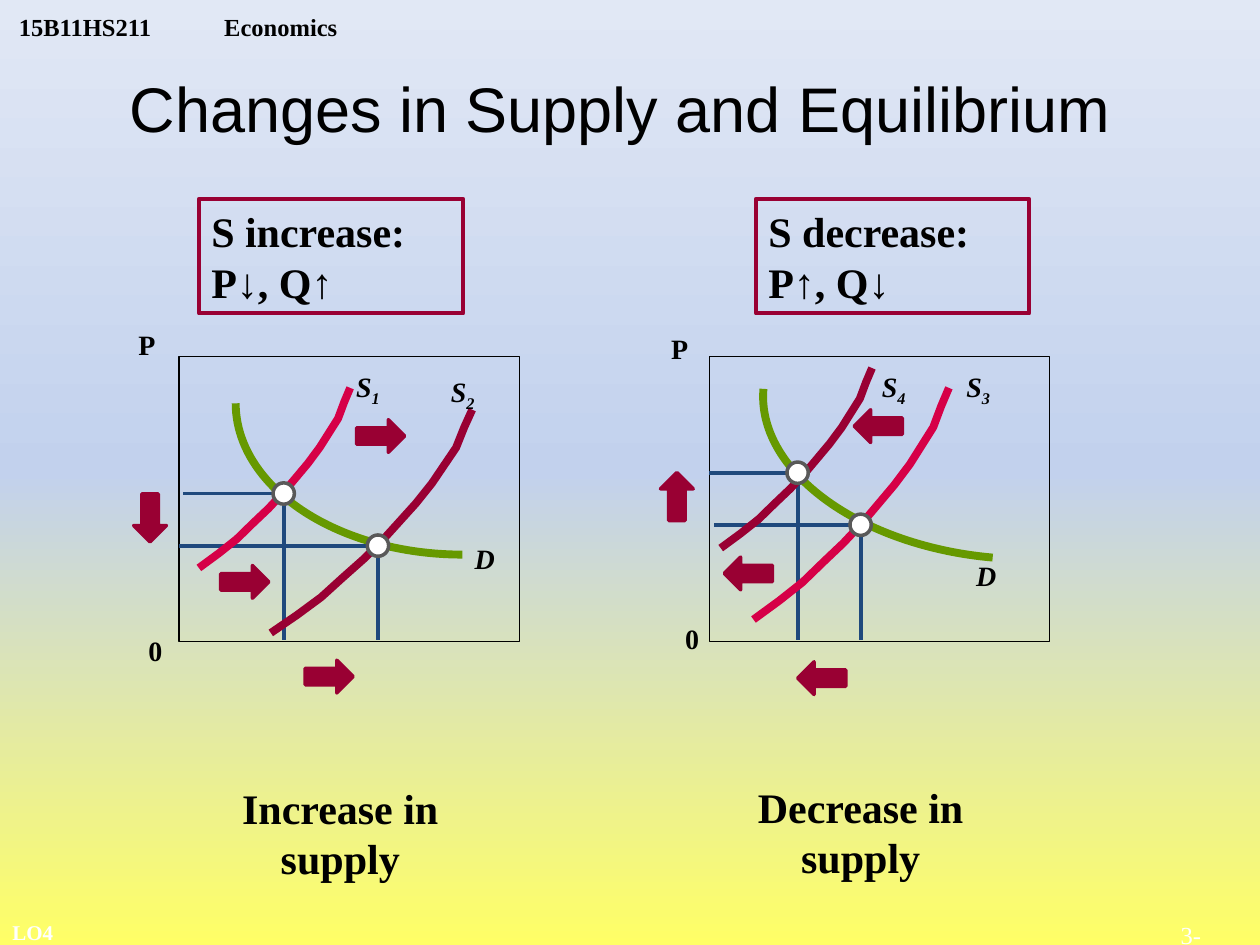
from copy import deepcopy
from dataclasses import dataclass

from lxml import etree
from pptx import Presentation
from pptx.dml.color import RGBColor
from pptx.enum.shapes import MSO_CONNECTOR, MSO_SHAPE
from pptx.enum.text import MSO_ANCHOR, PP_ALIGN
from pptx.oxml.ns import qn
from pptx.util import Cm, Pt

RECT, ARC, DOT, ARROW = MSO_SHAPE.RECTANGLE, MSO_SHAPE.ARC, MSO_SHAPE.OVAL, MSO_SHAPE.RIGHT_ARROW
STRAIGHT = MSO_CONNECTOR.STRAIGHT
LEFT, CENTER = PP_ALIGN.LEFT, PP_ALIGN.CENTER
TOP, BOTTOM = MSO_ANCHOR.TOP, MSO_ANCHOR.BOTTOM


@dataclass(frozen=True)
class Theme:
    serif: str = "Times New Roman"
    sans: str = "Arial"
    ink: str = "000000"
    white: str = "FFFFFF"
    wine: str = "990033"
    pink: str = "D60047"
    green: str = "669900"
    navy: str = "1F497D"
    grey: str = "595959"
    backdrop: tuple = ((0, "FFFF66"), (0.5, "C2D1ED"), (1, "E1E8F5"))
    title: int = 36
    body: int = 24
    label: int = 16
    header: int = 14
    small: int = 12


SUPPLY_SHAPE = [(1, 0), (0.96, 0.08), (0.92, 0.17), (0.86, 0.25), (0.8, 0.33),
                (0.72, 0.42), (0.64, 0.5), (0.56, 0.58), (0.46, 0.67),
                (0.36, 0.75), (0.25, 0.84), (0.13, 0.92), (0, 1)]
AXIS_FOOT = 12.9
DOT_SIZE = 0.43


class Deck:
    def __init__(self, prs, theme):
        self.t = theme
        self.s = prs.slides.add_slide(prs.slide_layouts[6])

    def background(self):
        fill = self.s.background.fill
        fill.gradient()
        fill.gradient_angle = 90
        stops = self.s._element.find(".//" + qn("a:gsLst"))
        stops.insert(1, deepcopy(stops[0]))
        for stop, (position, color) in zip(fill.gradient_stops, self.t.backdrop):
            stop.position = position
            stop.color.rgb = RGBColor.from_string(color)

    def style(self, sp, line, width, fill=None):
        sp.shadow.inherit = False
        if fill:
            sp.fill.solid()
            sp.fill.fore_color.rgb = RGBColor.from_string(fill)
        else:
            sp.fill.background()
        sp.line.color.rgb = RGBColor.from_string(line)
        sp.line.width = Pt(width)

    def run(self, p, text, size, color=None, font=None, bold=True, italic=False):
        r = p.add_run()
        r.text = text
        r.font.name = font or self.t.serif
        r.font.size = Pt(size)
        r.font.bold = bold
        r.font.italic = italic
        r.font.color.rgb = RGBColor.from_string(color or self.t.ink)
        return r

    def shape(self, kind, x, y, w, h, line, width, fill=None, rotation=0):
        sp = self.s.shapes.add_shape(kind, Cm(x), Cm(y), Cm(w), Cm(h))
        sp.rotation = rotation
        self.style(sp, line, width, fill)
        return sp

    def text(self, x, y, w, h, text, size, align=LEFT, anchor=TOP, wrap=True, **font):
        tf = self.s.shapes.add_textbox(Cm(x), Cm(y), Cm(w), Cm(h)).text_frame
        tf.word_wrap = wrap
        tf.vertical_anchor = anchor
        p = tf.paragraphs[0]
        p.alignment = align
        self.run(p, text, size, **font)
        return tf

    def header(self, code, subject):
        tf = self.text(0.13, 0, 8.13, 0.84, code, self.t.header, anchor=BOTTOM)
        tf.margin_top = tf.margin_bottom = 0
        p = tf.paragraphs[0]
        tabs = etree.SubElement(p._p.get_or_add_pPr(), qn("a:tabLst"))
        etree.SubElement(tabs, qn("a:tab"), pos=str(Cm(4.14)), algn="l")
        self.run(p, "\t" + subject, self.t.header)

    def label(self, x, y, w, text, sub="", italic=False):
        tf = self.text(x, y, w, 0.94, text, self.t.label, wrap=False, italic=italic)
        if sub:
            r = self.run(tf.paragraphs[0], sub, self.t.label, italic=italic)
            r.font._element.set("baseline", "-25000")

    def callout(self, x, y, w, lines):
        tf = self.shape(RECT, x, y, w, 2.31, self.t.wine, 2.25).text_frame
        tf.word_wrap = True
        for i, text in enumerate(lines):
            p = tf.add_paragraph() if i else tf.paragraphs[0]
            p.alignment = LEFT
            self.run(p, text, self.t.body)

    def supply(self, x, y, w, h, color):
        points = [(Cm(x + w * u), Cm(y + h * v)) for u, v in SUPPLY_SHAPE]
        curve = self.s.shapes.build_freeform(*points[0])
        curve.add_line_segments(points[1:], close=False)
        self.style(curve.convert_to_shape(), color, 4.5)

    def guide(self, x1, y1, x2, y2):
        c = self.s.shapes.add_connector(STRAIGHT, Cm(x1), Cm(y1), Cm(x2), Cm(y2))
        c.line.color.rgb = RGBColor.from_string(self.t.navy)
        c.line.width = Pt(2.25)
        etree.SubElement(c._element.spPr, qn("a:effectLst"))

    def arrow(self, x, y, rotation):
        self.shape(ARROW, x, y, 0.97, 0.66, self.t.wine, 2, self.t.wine, rotation)

    def panel(self, d):
        self.shape(RECT, d["left"], 7.19, 6.86, 5.74, self.t.ink, 0.75)
        self.shape(ARC, *d["demand"][:4], self.t.green, 4.5, rotation=d["demand"][4])
        for x, y, start in d["equilibria"]:
            self.guide(x, y, start, y)
            self.guide(x, y, x, AXIS_FOOT)
        for curve, color in zip(d["supply"], (self.t.pink, self.t.wine)):
            self.supply(*curve, color)
        for x, y, _ in d["equilibria"]:
            self.shape(DOT, x - DOT_SIZE / 2, y - DOT_SIZE / 2, DOT_SIZE, DOT_SIZE,
                       self.t.grey, 2, self.t.white)
        for arrow in d["arrows"]:
            self.arrow(*arrow)
        for x, y, w, text in d["axis_labels"]:
            self.label(x, y, w, text)
        for x, y, w, text, sub in d["curve_labels"]:
            self.label(x, y, w, text, sub, italic=True)
        self.callout(*d["callout"])
        self.text(*d["caption"], self.t.body, align=CENTER)


INCREASE = dict(
    left=3.61,
    demand=(4.75, 5.08, 9.14, 6.1, 180),
    equilibria=[(5.72, 9.95, 3.68), (7.62, 11, 3.61)],
    supply=[(4.01, 7.82, 3.05, 3.63), (5.46, 8.26, 4.06, 4.5)],
    arrows=[(4.45, 11.4, 0), (7.19, 8.46, 0), (6.15, 13.31, 0), (2.54, 10.11, 90)],
    axis_labels=[(2.54, 6.48, 0.89, "P"), (2.74, 12.65, 0.81, "0")],
    curve_labels=[(6.93, 7.32, 1.09, "S", "1"), (8.84, 7.42, 1.09, "S", "2"),
                  (9.32, 10.8, 0.91, "D", "")],
    callout=(4.01, 4.01, 5.33, ("S increase:", "P↓, Q↑")),
    caption=(3.56, 15.65, 6.6, 2.31, "Increase in supply"),
)
DECREASE = dict(
    left=14.3,
    demand=(15.37, 5.28, 9.8, 5.97, 185),
    equilibria=[(16.08, 9.53, 14.3), (17.35, 10.58, 14.4)],
    supply=[(15.19, 7.82, 3.94, 4.67), (14.53, 7.42, 3.05, 3.63)],
    arrows=[(14.6, 11.23, 180), (17.22, 8.26, 180), (16.08, 13.34, 180), (13.16, 9.68, 270)],
    axis_labels=[(13.28, 6.55, 0.89, "P"), (13.56, 12.4, 0.81, "0")],
    curve_labels=[(19.23, 7.32, 1.09, "S", "3"), (17.53, 7.32, 1.09, "S", "4"),
                  (19.43, 11.13, 0.91, "D", "")],
    callout=(15.24, 4.01, 5.51, ("S decrease:", "P↑, Q↓")),
    caption=(13.92, 15.62, 6.86, 2.31, "Decrease in supply"),
)


def main():
    prs = Presentation()
    prs.slide_width, prs.slide_height = Cm(25.4), Cm(19.05)
    theme = Theme()
    deck = Deck(prs, theme)
    deck.background()
    deck.header("15B11HS211", "Economics")
    deck.text(1.07, 1.27, 22.86, 3.18, "Changes in Supply and Equilibrium", theme.title,
              align=CENTER, font=theme.sans, bold=False)
    for panel in (INCREASE, DECREASE):
        deck.panel(panel)
    deck.text(0, 18.42, 1.35, 0.76, "LO4", theme.small, wrap=False, color=theme.white)
    deck.text(23.55, 18.42, 1.22, 0.84, "3-11", theme.header, wrap=False,
              color=theme.white, bold=False)
    prs.save("out.pptx")


if __name__ == "__main__":
    main()
